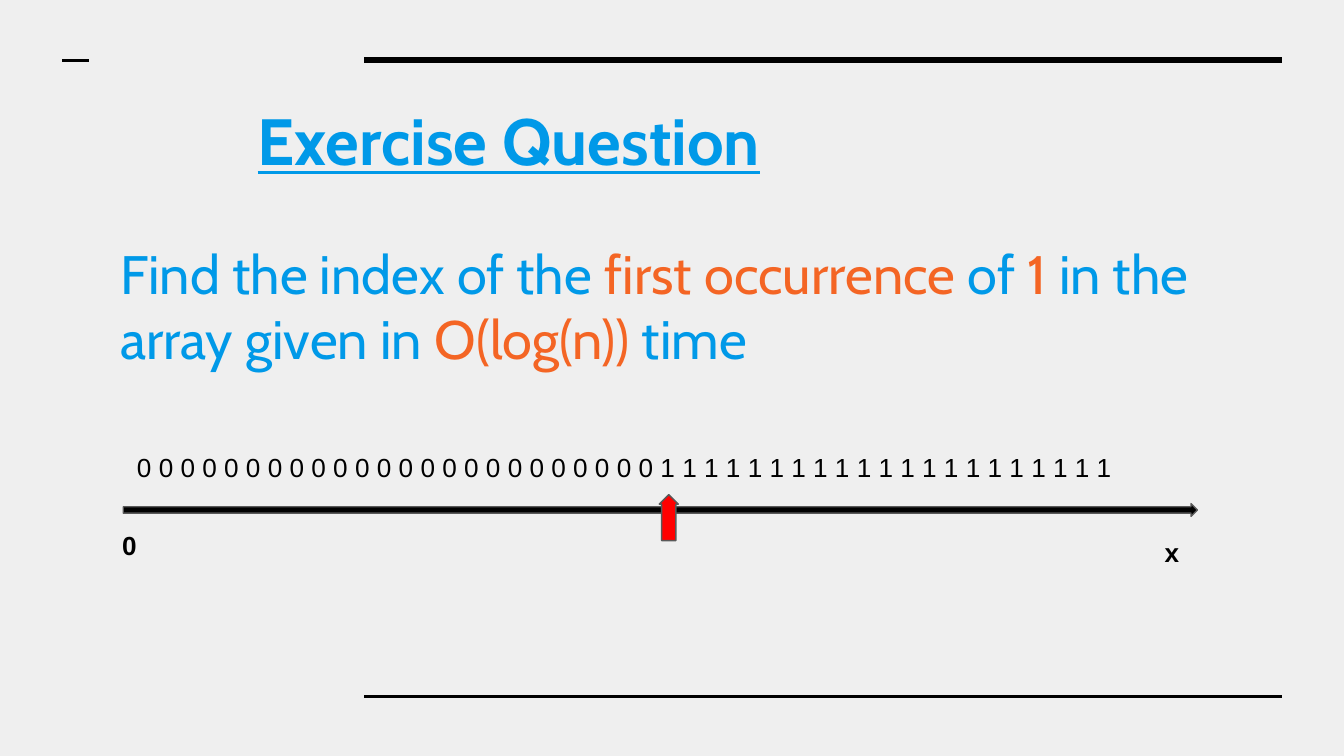
"""Build the binary search exercise slide."""
from dataclasses import dataclass

from lxml import etree
from pptx import Presentation, util as u
from pptx.dml.color import RGBColor
from pptx.enum import shapes, text
from pptx.oxml.ns import qn

BLACK, GREY, BLUE, ORANGE, RED = "000000", "595959", "0099E8", "F46524", "FF0000"
ZEROS, ONES = 24, 21


@dataclass
class Box:
    left: float
    top: float
    width: float
    height: float

    def lengths(self) -> list[u.Length]:
        return [u.Cm(v) for v in (self.left, self.top, self.width, self.height)]


@dataclass
class Rule:
    x1: float
    x2: float
    y: float
    weight: float


@dataclass
class Arrow:
    kind: shapes.MSO_SHAPE
    box: Box
    fill: str
    shaft: float


@dataclass
class Label:
    box: Box
    runs: list[tuple[str, str]]
    font: dict


def rgb(value: str) -> RGBColor:
    return RGBColor.from_string(value)


def draw_rule(s, rule: Rule) -> None:
    y = u.Cm(rule.y)
    line = s.shapes.add_connector(
        shapes.MSO_CONNECTOR.STRAIGHT, u.Cm(rule.x1), y, u.Cm(rule.x2), y)
    line.line.color.rgb = rgb(BLACK)
    line.line.width = u.Pt(rule.weight)
    etree.SubElement(line._element.spPr, qn("a:effectLst"))


def draw_arrow(s, arrow: Arrow) -> None:
    sp = s.shapes.add_shape(arrow.kind, *arrow.box.lengths())
    sp.adjustments[0] = arrow.shaft
    sp.shadow.inherit = False
    sp.fill.solid()
    sp.fill.fore_color.rgb = rgb(arrow.fill)
    sp.line.color.rgb = rgb(GREY)
    sp.line.width = u.Pt(0.75)


def write_label(sp, label: Label) -> None:
    sp.left, sp.top, sp.width, sp.height = label.box.lengths()
    tf = sp.text_frame
    frame = {"word_wrap": True, "auto_size": text.MSO_AUTO_SIZE.SHAPE_TO_FIT_TEXT,
             "vertical_anchor": text.MSO_ANCHOR.TOP}
    frame |= {f"margin_{side}": u.Cm(0.25) for side in ("left", "top", "right", "bottom")}
    for name, value in frame.items():
        setattr(tf, name, value)
    p = tf.paragraphs[0]
    p.alignment = text.PP_ALIGN.LEFT
    for words, color in label.runs:
        r = p.add_run()
        r.text = words
        r.font.color.rgb = rgb(color)
        for name, value in label.font.items():
            setattr(r.font, name, value)


def main() -> None:
    prs = Presentation()
    prs.slide_width, prs.slide_height = u.Cm(25.4), u.Cm(14.29)
    s = prs.slides.add_slide(prs.slide_layouts[5])
    s.background.fill.solid()
    s.background.fill.fore_color.rgb = rgb("EFEFEF")

    for rule in (Rule(6.88, 24.23, 1.14, 3), Rule(6.88, 24.23, 13.16, 1.5),
                 Rule(1.18, 1.69, 1.14, 1.5)):
        draw_rule(s, rule)

    for arrow in (
        Arrow(shapes.MSO_SHAPE.RIGHT_ARROW, Box(2.33, 9.52, 20.3, 0.24), BLACK, 0.5),
        Arrow(shapes.MSO_SHAPE.UP_ARROW, Box(12.46, 9.35, 0.36, 0.87), RED, 0.75),
    ):
        draw_arrow(s, arrow)

    write_label(s.shapes.title, Label(
        Box(4.62, 1.65, 19.2, 2.01), [("Exercise Question", BLUE)],
        {"name": "Cabin", "size": u.Pt(35), "bold": True, "underline": True}))

    plain = {"name": "Arial", "size": u.Pt(14)}
    bold = plain | {"bold": True}
    array = " ".join("0" * ZEROS + "1" * ONES)
    task = [("Find the index of the ", BLUE), ("first occurrence", ORANGE),
            (" of ", BLUE), ("1", ORANGE), (" in the array given in ", BLUE),
            ("O(log(n))", ORANGE), (" time", BLUE)]
    for label in (
        Label(Box(2.34, 8.28, 19.43, 1.12), [(array, BLACK)], plain),
        Label(Box(2.06, 9.75, 0.56, 1.12), [("0", BLACK)], bold),
        Label(Box(21.76, 9.88, 0.76, 1.12), [("x", BLACK)], bold),
        Label(Box(2.03, 4.29, 21.34, 3), task, {"name": "Cabin", "size": u.Pt(29)}),
    ):
        write_label(s.shapes.add_textbox(*label.box.lengths()), label)

    prs.save("out.pptx")


if __name__ == "__main__":
    main()
